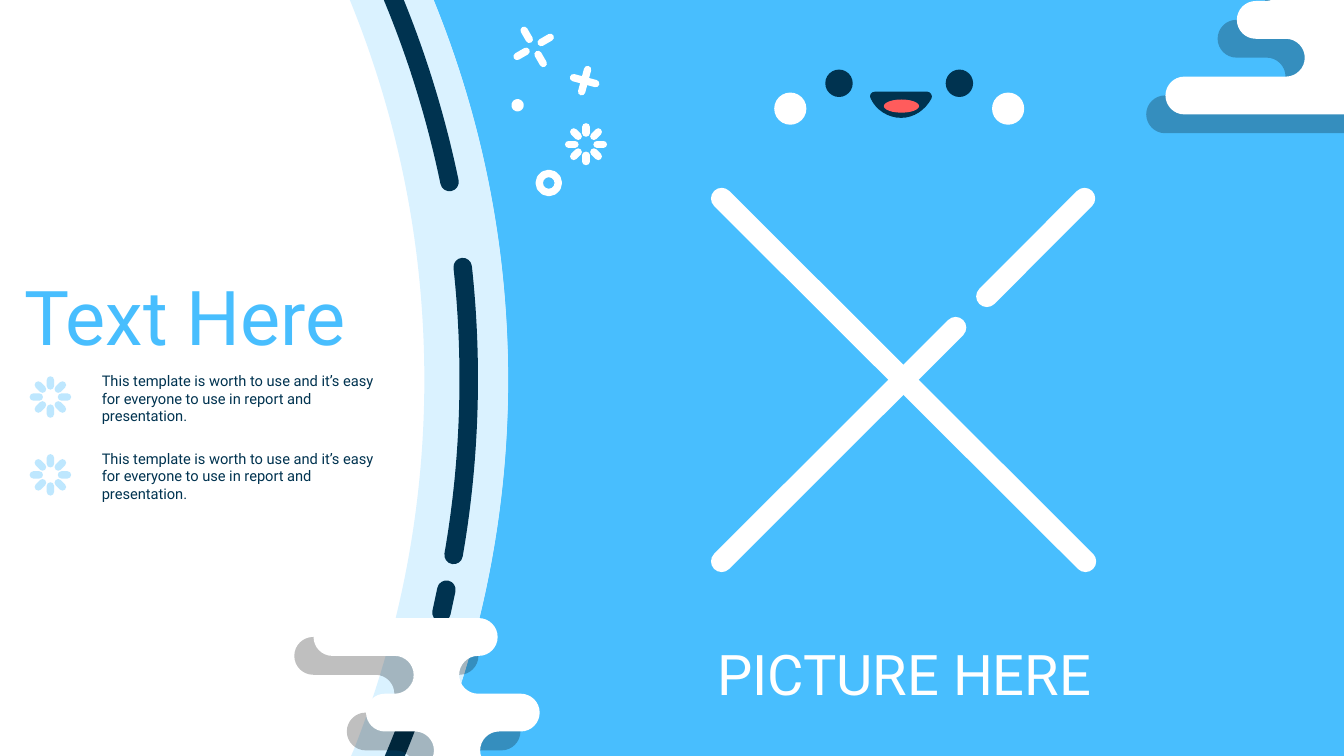
import math

import lxml.etree
import pptx
import pptx.dml.color
import pptx.enum.shapes
import pptx.enum.text
import pptx.oxml.ns
import pptx.util

Pt = pptx.util.Pt
qn = pptx.oxml.ns.qn

FONT = "Roboto"
SKY, NAVY, WHITE, PALE, PETAL = "48BEFE", "003350", "FFFFFF", "DAF2FF", "86D3FE"
NOTE = "This template is worth to use and it’s easy for everyone to use in report and presentation."
RIM_WIDTH = 59.8
DASH_RADIUS = 6.6
CLOUD_ROW = 27
# Left and right edge of each cloud row; odd rows are the necks
CLOUD_EDGES = [(13.5, 145), (85, 117.5), (51, 175), (99.5, 132.5), (0, 166.5)]


def paint(fmt, colour, opacity=100):
    fmt.solid()
    fmt.fore_color.rgb = pptx.dml.color.RGBColor.from_string(colour)
    if opacity < 100:
        clr = fmt._xPr.find(qn("a:solidFill"))[0]
        lxml.etree.SubElement(clr, qn("a:alpha"), val=str(opacity * 1000))


def outline(shapes, pts, pattern, colour, opacity=100):
    """Closed shape; in pattern, L uses one point (line) and C three (curve)."""
    pts = [(Pt(x), Pt(y)) for x, y in pts]
    fb = shapes.build_freeform(*pts[0], scale=1.0)
    fb.add_line_segments(pts[1:], close=True)
    sp = fb.convert_to_shape()
    steps = iter(list(sp._element.iter(qn("a:lnTo"))))
    for kind in pattern:
        step = next(steps)
        if kind == "C":
            step.tag = qn("a:cubicBezTo")
            for extra in (next(steps), next(steps)):
                step.append(extra[0])
                extra.getparent().remove(extra)
    sp.shadow.inherit = False
    paint(sp.fill, colour, opacity)
    sp.line.fill.background()


def half_turn(a, b, vx, vy):
    """Two curves making a half circle from a to b, bulging along (vx, vy)."""
    k = 0.55
    hx, hy = (b[0] - a[0]) / 2, (b[1] - a[1]) / 2
    mx, my = a[0] + hx + vx, a[1] + hy + vy
    return [(a[0] + k * vx, a[1] + k * vy), (mx - k * hx, my - k * hy), (mx, my),
            (mx + k * hx, my + k * hy), (b[0] + k * vx, b[1] + k * vy), b]


def dash(shapes, mid, pattern):
    """Round-ended band of even width along mid."""
    r = DASH_RADIUS
    dirs = [math.atan2(b[1] - a[1], b[0] - a[0]) for a, b in zip(mid, mid[1:])]
    one, other = [], []
    for (x, y), before, after in zip(mid, dirs[:1] + dirs, dirs + dirs[-1:]):
        scale = r / (1 + math.cos(after - before))
        dx = -(math.sin(before) + math.sin(after)) * scale
        dy = (math.cos(before) + math.cos(after)) * scale
        one.append((x + dx, y + dy))
        other.append((x - dx, y - dy))
    first, last = dirs[0], dirs[-1]
    pts = (one + half_turn(one[-1], other[-1], r * math.cos(last), r * math.sin(last))
           + other[-2::-1]
           + half_turn(other[0], one[0], -r * math.cos(first), -r * math.sin(first)))
    outline(shapes, pts, pattern + "CC" + pattern[::-1] + "CC", NAVY)


def cloud(shapes, left, top, colour, opacity=100):
    r = CLOUD_ROW / 2
    down, up = [], []
    for row, (x1, x2) in enumerate(CLOUD_EDGES):
        bulge = -r if row % 2 else r
        y1 = top + row * CLOUD_ROW
        y2 = y1 + CLOUD_ROW
        a, b = (left + x2 - bulge, y1), (left + x2 - bulge, y2)
        down += [a] + half_turn(a, b, bulge, 0)
        a, b = (left + x1 + bulge, y2), (left + x1 + bulge, y1)
        up = [a] + half_turn(a, b, -bulge, 0) + up
    pattern = "LCC" * (2 * len(CLOUD_EDGES))
    outline(shapes, down + up, pattern[1:], colour, opacity)


def stroke(shapes, x1, y1, x2, y2, colour, width, opacity=100):
    c = shapes.add_connector(pptx.enum.shapes.MSO_CONNECTOR.STRAIGHT,
                             Pt(x1), Pt(y1), Pt(x2), Pt(y2))
    c.line.width = Pt(width)
    paint(c.line.fill, colour, opacity)
    c.line._get_or_add_ln().set("cap", "rnd")
    lxml.etree.SubElement(c._element.spPr, qn("a:effectLst"))


def burst(shapes, cx, cy, count, step, start, inner, outer, colour=WHITE, opacity=100):
    """Spokes around a centre, grouped."""
    grp = shapes.add_group_shape()
    for k in range(count):
        a = math.radians(start + k * step)
        dx, dy = math.cos(a), math.sin(a)
        stroke(grp.shapes, cx + inner * dx, cy + inner * dy,
               cx + outer * dx, cy + outer * dy, colour, 5.25, opacity)


def ellipse(shapes, cx, cy, w, h, fill=None, line=None):
    sp = shapes.add_shape(pptx.enum.shapes.MSO_SHAPE.OVAL,
                          Pt(cx - w / 2), Pt(cy - h / 2), Pt(w), Pt(h))
    sp.shadow.inherit = False
    for fmt, colour in ((sp.fill, fill), (sp.line.fill, line)):
        if colour:
            paint(fmt, colour)
        else:
            fmt.background()
    if line:
        sp.line.width = Pt(5.25)


def write(sp, box, text, size, colour, wrap=False, align="LEFT"):
    sp.left, sp.top, sp.width, sp.height = [Pt(v) for v in box]
    tf = sp.text_frame
    tf.word_wrap = wrap
    tf.auto_size = pptx.enum.text.MSO_AUTO_SIZE.NONE
    tf.vertical_anchor = pptx.enum.text.MSO_ANCHOR.TOP
    p = tf.paragraphs[0]
    p.alignment = getattr(pptx.enum.text.PP_ALIGN, align)
    p.space_before = Pt(0)
    pPr = p._p.get_or_add_pPr()
    pPr.set("marL", "0")
    pPr.set("indent", "0")
    lxml.etree.SubElement(pPr, qn("a:buNone"))
    r = p.add_run()
    r.text = text
    r.font.name = FONT
    r.font.size = Pt(size)
    paint(r.font.fill, colour)


def bring_to_front(sp):
    sp._element.getparent().append(sp._element)


def side_panel(shapes):
    edge = [(303.8, -13), (306.7, -7.2), (342.7, 78.5), (362.9, 172.1), (362.9, 271.4),
            (362.9, 364.3), (344.9, 453.6), (312.5, 535.7), (304.6, 553.7)]
    outline(shapes, [(-14.4, -13)] + edge + [(-14.4, 553.7)], "LLCCLL", WHITE)
    outline(shapes, edge + [(x - RIM_WIDTH, y) for x, y in edge[::-1]], "LCCLLLCCL", PALE)
    dash(shapes, [(321.1, 130), (311.4, 83.2), (297, 36.7), (278.3, -7.2),
                  (275.8, -13), (-42.5, -13), (-42.5, 553.3), (276.5, 553.3),
                  (284, 535.3), (293.4, 512.6), (301.3, 489.2), (307.8, 466.2)], "CLLLLLC")
    dash(shapes, [(318.9, 421.2), (315.4, 437.6)], "L")
    dash(shapes, [(330.5, 190.8), (333.4, 217.4), (334.8, 244.1), (334.8, 270.7),
                  (334.8, 312.8), (331.2, 355), (324, 396.4)], "CC")


def sparkles(shapes):
    burst(shapes, 381.2, 33.5, 4, 90, -30, 6.2, 13.7)
    ellipse(shapes, 392, 130.7, 13.7, 13.7, line=WHITE)
    burst(shapes, 418.6, 103, 8, 45, 0, 7.9, 12.4)
    ellipse(shapes, 369.7, 75.2, 3.6, 3.6, line=WHITE)
    burst(shapes, 417.6, 57.6, 2, 90, 15, -8.2, 8.2)


def face(shapes):
    grp = shapes.add_group_shape()
    middle = 642.3
    for side in (-1, 1):
        ellipse(grp.shapes, middle + side * 43, 59.5, 19.6, 19.6, NAVY)
        ellipse(grp.shapes, middle + side * 77.8, 77.6, 23, 23, WHITE)
    outline(grp.shapes, [(625, 65.5), (622.1, 65.5), (620.6, 68.4), (622.1, 70.6),
                         (625.7, 78.5), (634.3, 84.2), (643.7, 84.2),
                         (653, 84.2), (661, 78.5), (665.3, 70.6),
                         (666.7, 68.4), (664.6, 65.5), (662.4, 65.5)], "CCCC", NAVY)
    ellipse(grp.shapes, 643.9, 75.8, 25.2, 9.4, "FF5C5C")


def big_cross(shapes):
    grp = shapes.add_group_shape()
    for ends in ((515.5, 141.8, 775.4, 401), (682.6, 234, 515.5, 401),
                 (774.7, 141.8, 704.9, 211.7)):
        stroke(grp.shapes, *ends, WHITE, 15.25)


def main():
    prs = pptx.Presentation()
    prs.slide_width, prs.slide_height = Pt(960), Pt(540)
    s = prs.slides.add_slide(prs.slide_layouts.get_by_name("Two Content"))
    paint(s.background.fill, SKY)
    side_panel(s.shapes)
    write(s.shapes.title, (10, 189.5, 274.5, 72.7), "Text Here", 54, SKY)
    bring_to_front(s.shapes.title)
    for k, idx in enumerate((1, 2)):
        drop = k * 55.6
        body = s.placeholders[idx]
        write(body, (65.5, 262 + drop, 219, 45.4), NOTE, 10.5, NAVY, wrap=True)
        bring_to_front(body)
        burst(s.shapes, 36, 283.6 + drop, 8, 45, 0, 7.9, 12.2, PETAL, 52)
    sparkles(s.shapes)
    for left, top in ((210.5, 441.5), (832.5, -53.3)):
        cloud(s.shapes, left - 13.75, top + 13.5, "000000", 25)
        cloud(s.shapes, left, top, WHITE)
    face(s.shapes)
    big_cross(s.shapes)
    caption = s.shapes.add_textbox(0, 0, 0, 0)
    write(caption, (496.8, 453.6, 298, 55.4), "PICTURE HERE", 40, WHITE, align="CENTER")
    prs.save("out.pptx")


if __name__ == "__main__":
    main()
